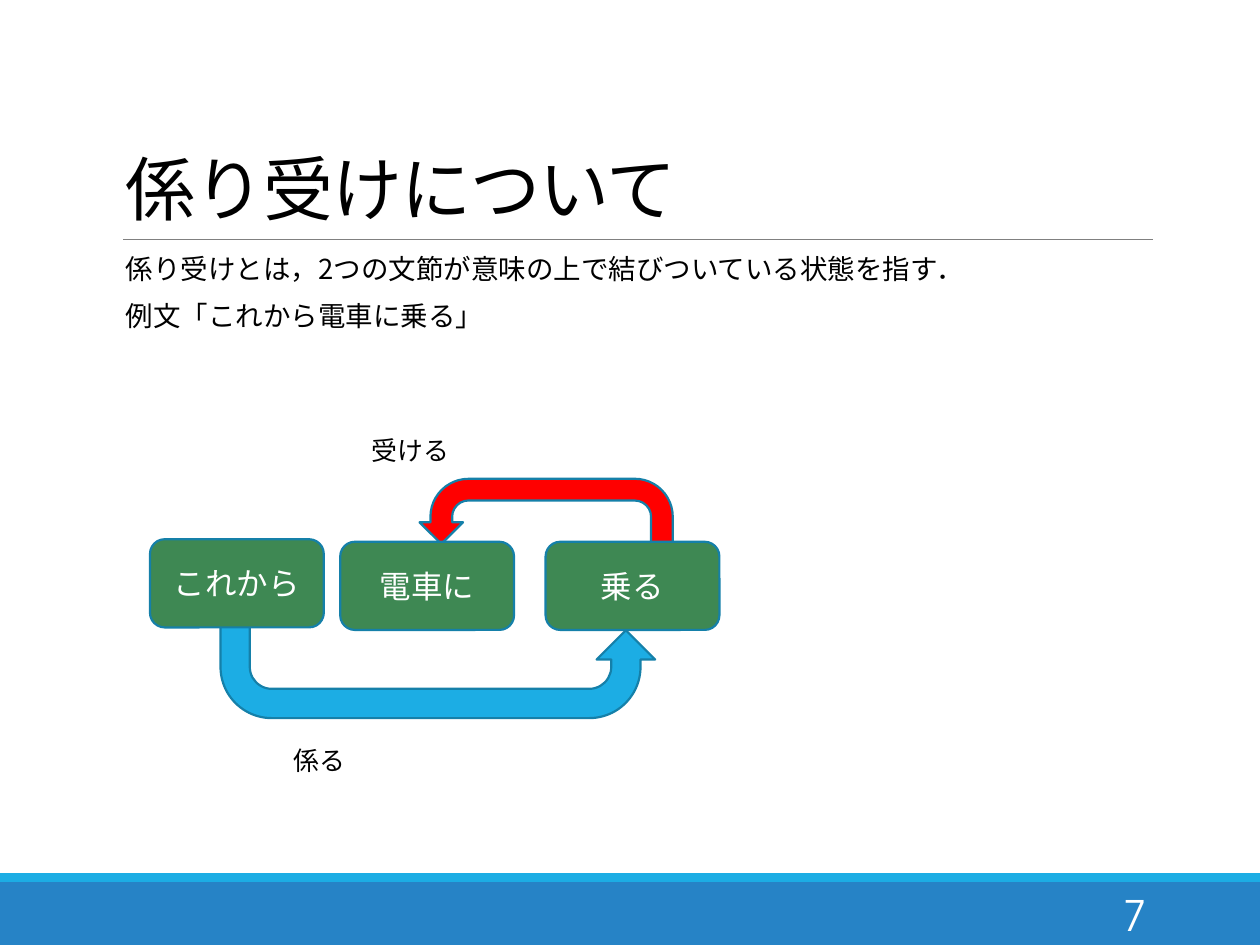
from lxml import etree
from pptx import Presentation
from pptx import util as u
from pptx.dml.color import RGBColor
from pptx.enum import lang, shapes, text
from pptx.oxml.ns import qn

WHITE = RGBColor(0xFF, 0xFF, 0xFF)
BLACK = RGBColor(0x00, 0x00, 0x00)
GRAY = RGBColor(0x80, 0x80, 0x80)
BLUE = RGBColor(0x26, 0x83, 0xC6)
SKY = RGBColor(0x1C, 0xAD, 0xE4)
OUTLINE = RGBColor(0x15, 0x80, 0xA9)
GREEN = RGBColor(0x3E, 0x88, 0x53)
RED = RGBColor(0xFF, 0x00, 0x00)
JAPANESE_FONT = "Noto Sans CJK JP"
NUMBER_FONT = "TeX Gyre Adventor"

presentation = Presentation()
presentation.slide_width = u.Inches(10)
presentation.slide_height = u.Inches(7.5)
slide = presentation.slides.add_slide(presentation.slide_layouts[6])


def add_shape(kind, box, fill, line=None):
    shape = slide.shapes.add_shape(kind, *map(u.Inches, box))
    shape.shadow.inherit = False
    shape.fill.solid()
    shape.fill.fore_color.rgb = fill
    if line is None:
        shape.line.fill.background()
    else:
        shape.line.color.rgb = line
        shape.line.width = u.Pt(1.25)
    return shape


def write(shape, lines, size, color=BLACK, font=JAPANESE_FONT,
          anchor=text.MSO_ANCHOR.MIDDLE, **paragraph_format):
    frame = shape.text_frame
    frame.word_wrap = True
    frame.vertical_anchor = anchor
    frame.text = "\n".join(lines)
    for paragraph in frame.paragraphs:
        for name, value in paragraph_format.items():
            setattr(paragraph, name, value)
        run = paragraph.runs[0]
        run.font.size = u.Pt(size)
        run.font.name = font
        run.font.color.rgb = color
        run.font.language_id = lang.MSO_LANGUAGE_ID.JAPANESE
        properties = run.font._element
        etree.SubElement(properties, qn("a:ea")).set("typeface", font)
    return frame


kinds = shapes.MSO_SHAPE
add_shape(kinds.RECTANGLE, (0, 7, 10, 0.5), BLUE)
add_shape(kinds.RECTANGLE, (0, 6.93, 10, 0.07), SKY)

rule = slide.shapes.add_connector(
    shapes.MSO_CONNECTOR.STRAIGHT,
    u.Inches(0.98), u.Inches(1.9), u.Inches(9.15), u.Inches(1.9))
rule.line.color.rgb = GRAY
rule.line.width = u.Pt(0.5)
etree.SubElement(rule._element.spPr, qn("a:effectLst"))

for box, fill, flip in (
    ((3.33, 3.8, 2.01, 0.69), RED, "flipH"),
    ((1.75, 4.77, 3.45, 0.93), SKY, "flipV"),
):
    arrow = add_shape(kinds.U_TURN_ARROW, box, fill, OUTLINE)
    arrow._element.spPr.find(qn("a:xfrm")).set(flip, "1")

title = slide.shapes.add_textbox(*map(u.Inches, (0.9, 0.88, 8.25, 0.99)))
frame = write(title, ["係り受けについて"], 40,
              anchor=text.MSO_ANCHOR.BOTTOM, line_spacing=0.85)
frame.paragraphs[0].runs[0].font._element.set("spc", "-50")

body = slide.shapes.add_textbox(*map(u.Inches, (0.9, 2.02, 8.25, 0.75)))
frame = write(
    body,
    ["係り受けとは，2つの文節が意味の上で結びついている状態を指す．",
     "例文「これから電車に乗る」"],
    15.7, anchor=text.MSO_ANCHOR.TOP, line_spacing=0.7,
    space_before=u.Pt(12), space_after=u.Pt(2))
frame.margin_left = u.Inches(0.1)
frame.margin_right = 0

for label, left, top in (("受ける", 2.95, 3.42), ("係る", 2.33, 5.88)):
    caption = slide.shapes.add_textbox(
        u.Inches(left), u.Inches(top), u.Inches(0.8), u.Inches(0.3))
    frame = write(caption, [label], 14.8)
    for side in ("left", "right", "top", "bottom"):
        setattr(frame, f"margin_{side}", 0)

number = slide.shapes.add_textbox(*map(u.Inches, (8.12, 7.06, 1.08, 0.4)))
write(number, ["7"], 24, WHITE, NUMBER_FONT, alignment=text.PP_ALIGN.RIGHT)

for phrase, left, top in (
    ("これから", 1.19, 4.28), ("電車に", 2.7, 4.3), ("乗る", 4.33, 4.3),
):
    phrase_box = add_shape(
        kinds.ROUNDED_RECTANGLE, (left, top, 1.38, 0.7), GREEN, OUTLINE)
    write(phrase_box, [phrase], 18, WHITE, alignment=text.PP_ALIGN.CENTER)

presentation.save("out.pptx")
